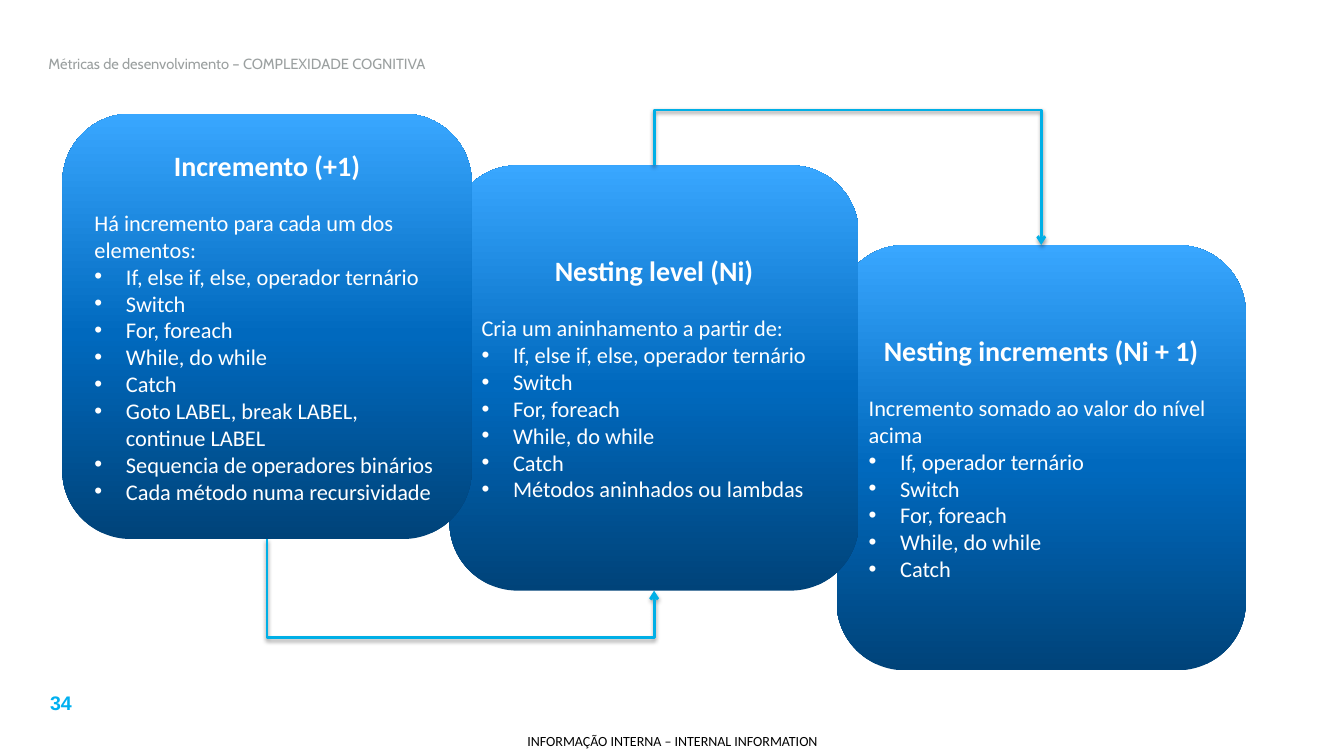
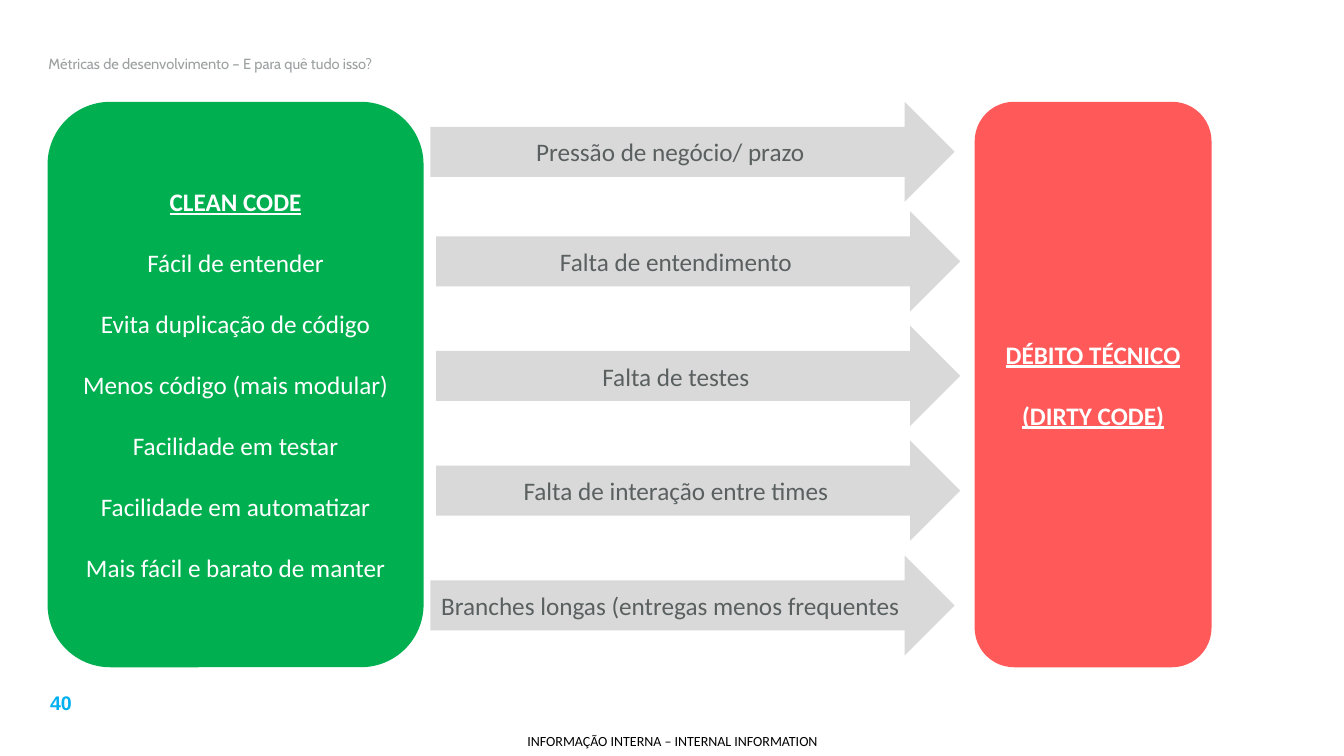
import copy

import pptx
import pptx.dml.color
import pptx.enum.shapes
import pptx.enum.text
import pptx.oxml
import pptx.oxml.ns
import pptx.util

Pt = pptx.util.Pt
qn = pptx.oxml.ns.qn
SHAPE = pptx.enum.shapes.MSO_SHAPE
ALIGN = pptx.enum.text.PP_ALIGN
MIDDLE = pptx.enum.text.MSO_ANCHOR.MIDDLE

COLORS = {
    "title": "9BA0A0",
    "number": "00B0F0",
    "black": "000000",
    "white": "FFFFFF",
    "connector": "00AFE6",
    "green": "00B050",
    "red": "FF0000",
    "arrow": "D9D9D9",
    "arrow text": "5A5F5F",
    "deep blue": "004379",
    "blue": "0069BE",
    "light blue": "39A7FF",
}
CARD_GRADIENT = [(0, "deep blue"), (0.48, "blue"), (1, "light blue")]
TOP_SITE, BOTTOM_SITE = 0, 2


def rgb(name):
    return pptx.dml.color.RGBColor.from_string(COLORS[name])


def add_xml(parent, tag, **attributes):
    child = parent.makeelement(qn(tag), attributes)
    parent.append(child)
    return child


class Deck:
    def __init__(self):
        self.deck = pptx.Presentation()
        self.deck.slide_width, self.deck.slide_height = Pt(960), Pt(540)
        self.page = None

    def add_page(self, title, number):
        self.page = self.deck.slides.add_slide(self.deck.slide_layouts[5])
        box = self.page.shapes.title
        box.left, box.top, box.width, box.height = Pt(27.4), Pt(27.4), Pt(855.4), Pt(36)
        box.text_frame.vertical_anchor = MIDDLE
        self.set_text(box.text_frame.paragraphs[0], title, 10.5, "title",
                      align=ALIGN.LEFT, font="Cabin")
        self.label(number, 15.1, 489.6, 56.9, 24.5, 14, "number", bold=True, font="Arial")
        self.label("INFORMAÇÃO INTERNA – INTERNAL INFORMATION",
                   362.2, 519.1, 236.2, 20.9, 10, "black", inset=0)

    def set_text(self, para, text, size, color, bold=False, underline=False,
                 align=ALIGN.CENTER, font="Calibri"):
        para.text = text
        para.alignment = align
        para.font.name, para.font.size = font, Pt(size)
        para.font.bold, para.font.underline = bold, underline
        para.font.color.rgb = rgb(color)

    def set_insets(self, frame, inset):
        frame.margin_left = frame.margin_right = Pt(inset)
        frame.margin_top = frame.margin_bottom = Pt(inset)

    def label(self, text, left, top, width, height, size, color, inset=4, **style):
        box = self.page.shapes.add_textbox(Pt(left), Pt(top), Pt(width), Pt(height))
        frame = box.text_frame
        frame.word_wrap = True
        frame.vertical_anchor = MIDDLE
        self.set_insets(frame, inset)
        self.set_text(frame.paragraphs[0], text, size, color, **style)

    def shape(self, kind, left, top, width, height, color=None):
        shape = self.page.shapes.add_shape(kind, Pt(left), Pt(top), Pt(width), Pt(height))
        shape.shadow.inherit = False
        shape.line.fill.background()
        if color:
            shape.fill.solid()
            shape.fill.fore_color.rgb = rgb(color)
        shape.text_frame.word_wrap = True
        shape.text_frame.vertical_anchor = MIDDLE
        return shape

    def paragraphs(self, frame, count):
        return [frame.paragraphs[0]] + [frame.add_paragraph() for _ in range(count - 1)]

    def gradient_card(self, left, top, heading, intro, items):
        card = self.shape(SHAPE.ROUNDED_RECTANGLE, left, top, 292.3, 303.8)
        card.fill.gradient()
        card.fill.gradient_angle = 90
        stops = card._element.spPr.find(".//" + qn("a:gsLst"))
        stops.append(copy.deepcopy(stops[0]))
        for stop, (position, color) in zip(card.fill.gradient_stops, CARD_GRADIENT):
            stop.position = position
            stop.color.rgb = rgb(color)
        self.set_insets(card.text_frame, 8.64)
        first, second, *bullets = self.paragraphs(card.text_frame, len(items) + 2)
        self.set_text(first, heading, 20, "white", bold=True)
        first.space_after = Pt(19.5)
        self.set_text(second, intro, 16, "white", align=ALIGN.LEFT)
        for para, item in zip(bullets, items):
            properties = para._p.get_or_add_pPr()
            properties.set("marL", str(Pt(22.5)))
            properties.set("indent", str(-Pt(22.5)))
            add_xml(properties, "a:buFont", typeface="Arial")
            add_xml(properties, "a:buChar", char="•")
            self.set_text(para, item, 16, "white", align=ALIGN.LEFT)
        return card

    def panel(self, left, width, color, headings, items=(), opacity=None):
        panel = self.shape(SHAPE.ROUNDED_RECTANGLE, left, 72.7, width, 403.9, color)
        if opacity:
            fill_color = panel._element.spPr.find(qn("a:solidFill"))[0]
            add_xml(fill_color, "a:alpha", val=str(opacity * 1000))
        texts = [*headings, *items]
        paras = self.paragraphs(panel.text_frame, len(texts))
        for index, (para, text) in enumerate(zip(paras, texts)):
            heading = index < len(headings)
            self.set_text(para, text, 18, "white", bold=heading, underline=heading)
            if index:
                para.space_before = Pt(22)

    def block_arrow(self, left, top, text):
        arrow = self.shape(SHAPE.RIGHT_ARROW, left, top, 374.4, 71.5, "arrow")
        frame = arrow.text_frame
        frame.word_wrap = False
        frame.margin_right = Pt(21)
        self.set_text(frame.paragraphs[0], text, 18, "arrow text")

    def u_connector(self, first, second, site, lane):
        """Join the same side of two cards by way of the height lane, in points."""
        offset = first.height if site == BOTTOM_SITE else 0
        start_x, end_x = (card.left + card.width // 2 for card in (first, second))
        start_y, end_y = first.top + offset, second.top + offset
        run, drop = end_x - start_x, end_y - start_y
        line = self.page.shapes.add_connector(
            pptx.enum.shapes.MSO_CONNECTOR.ELBOW, start_x, start_y, end_x, end_y)
        line.begin_connect(first, site)
        line.end_connect(second, site)
        # The elbow is turned by 270 degrees, so its frame swaps run and drop.
        line.left, line.top = (start_x + end_x - drop) // 2, (start_y + end_y - run) // 2
        line.width, line.height = drop, run
        properties = line._element.spPr
        transform = properties.find(qn("a:xfrm"))
        transform.set("rot", str(270 * 60000))
        transform.set("flipH", "1")
        guides = properties.find(qn("a:prstGeom")).find(qn("a:avLst"))
        bend = round((Pt(lane) - start_y) / drop * 100000)
        add_xml(guides, "a:gd", name="adj1", fmla=f"val {bend}")
        line.line.color.rgb = rgb("connector")
        line.line.width = Pt(2)
        add_xml(properties.find(qn("a:ln")), "a:tailEnd", type="arrow")
        effects = add_xml(properties, "a:effectLst")
        shadow = add_xml(effects, "a:outerShdw", blurRad=str(Pt(3.1)), dist=str(Pt(1.6)),
                         dir=str(90 * 60000), rotWithShape="0")
        shadow_color = add_xml(shadow, "a:srgbClr", val=COLORS["black"])
        add_xml(shadow_color, "a:alpha", val="38000")


def cognitive_complexity(deck):
    deck.add_page("Métricas de desenvolvimento – COMPLEXIDADE COGNITIVA", "34")
    branches = "If, else if, else, operador ternário"
    common = ["Switch", "For, foreach", "While, do while", "Catch"]
    left, step = 44.6, 276.5
    increments = deck.gradient_card(
        left + 2 * step, 175, "Nesting increments (Ni + 1)",
        "Incremento somado ao valor do nível acima", ["If, operador ternário", *common])
    nesting = deck.gradient_card(
        left + step, 118.1, "Nesting level (Ni)", "Cria um aninhamento a partir de:",
        [branches, *common, "Métodos aninhados ou lambdas"])
    increment = deck.gradient_card(
        left, 81.2, "Incremento (+1)", "Há incremento para cada um dos elementos:",
        [branches, *common, "Goto LABEL, break LABEL, continue LABEL",
         "Sequencia de operadores binários", "Cada método numa recursividade"])
    deck.u_connector(nesting, increments, TOP_SITE, 78.5)
    deck.u_connector(increment, nesting, BOTTOM_SITE, 455.5)


def technical_debt(deck):
    deck.add_page("Métricas de desenvolvimento – E para quê tudo isso?", "40")
    deck.panel(34, 268.6, "green", ["CLEAN CODE"], [
        "Fácil de entender", "Evita duplicação de código", "Menos código (mais modular)",
        "Facilidade em testar", "Facilidade em automatizar",
        "Mais fácil e barato de manter"])
    deck.panel(696.2, 169.2, "red", ["DÉBITO TÉCNICO", "(DIRTY CODE)"], opacity=65)
    outer, inner = 307.5, 311.5
    for left, top, text in [
        (outer, 72.7, "Pressão de negócio/ prazo"),
        (inner, 151, "Falta de entendimento"),
        (inner, 232.8, "Falta de testes"),
        (inner, 314.8, "Falta de interação entre times"),
        (outer, 396.7, "Branches longas (entregas menos frequentes"),
    ]:
        deck.block_arrow(left, top, text)


def main():
    deck = Deck()
    cognitive_complexity(deck)
    technical_debt(deck)
    deck.deck.save("out.pptx")


if __name__ == "__main__":
    main()
